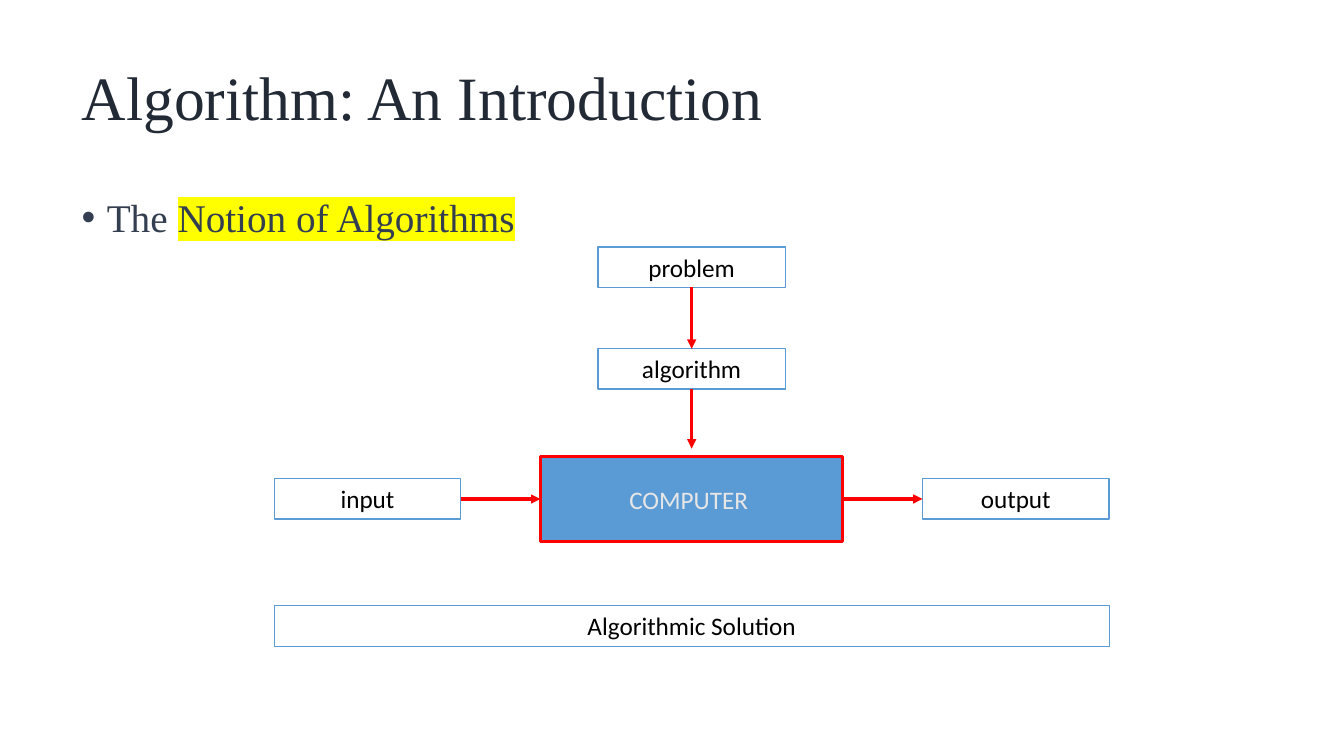
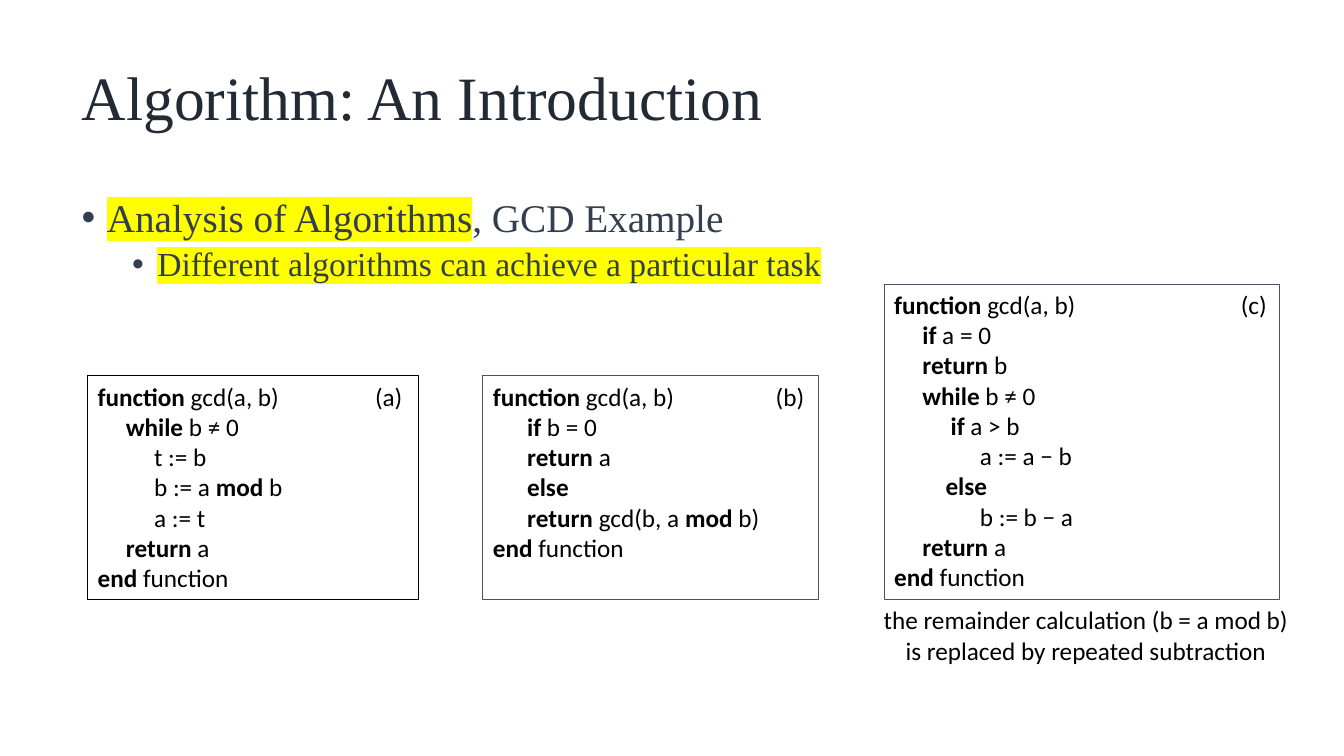
"""Build two slides that introduce algorithms."""
from dataclasses import dataclass
from typing import Any, NamedTuple, Optional

from lxml import etree
from pptx import Presentation
from pptx import util as u
from pptx.dml.color import RGBColor
from pptx.enum import shapes, text
from pptx.oxml import ns

PX = 9144
SLIDE_SIZE = (1333, 750)
TITLE = "Algorithm: An Introduction"


@dataclass(frozen=True)
class Theme:
    """Colours, fonts and type sizes of the deck."""

    title_ink: str = "222A35"
    body_ink: str = "333F50"
    black: str = "000000"
    pale: str = "E7E6E6"
    blue: str = "5B9BD5"
    slate: str = "44546A"
    red: str = "FF0000"
    marker: str = "FFFF00"
    serif: str = "Times New Roman"
    sans: str = "Calibri"
    title_size: int = 44
    body_sizes: tuple[int, int] = (28, 24)
    label_size: int = 18
    thin: float = 0.75
    medium: float = 1
    thick: float = 2.25


THEME = Theme()


class Area(NamedTuple):
    """A rectangle in px."""

    left: int
    top: int
    width: int
    height: int


class Style(NamedTuple):
    """The look of a span of text."""

    name: str
    size: int
    ink: str


class Line(NamedTuple):
    """A line of code, with its indent in px and bold words between asterisks."""

    indent: int
    words: str


class Bullet(NamedTuple):
    """A list entry, with highlighted words between asterisks."""

    level: int
    words: str


@dataclass(frozen=True)
class Node:
    """A labelled rectangle of the diagram."""

    label: str
    area: Area
    outline: str = THEME.blue
    weight: float = THEME.medium
    fill: Optional[str] = None
    ink: str = THEME.black
    wrap: bool = True


@dataclass(frozen=True)
class Arrow:
    """An arrow between two sides; a free end gives its length downwards."""

    start: str
    start_side: int
    end: Optional[str] = None
    end_side: int = 0
    length: int = 0


@dataclass(frozen=True)
class Listing:
    """A framed piece of code with a tag in its corner."""

    tag: str
    tag_left: int
    area: Area
    outline: str
    lines: tuple[Line, ...]


TITLE_AREA = Area(71, 35, 1150, 129)
BODY_AREA = Area(71, 192, 1150, 476)
LABEL = Style(THEME.sans, THEME.label_size, THEME.black)

NODES = (
    Node("COMPUTER ", Area(536, 453, 300, 84), THEME.red, THEME.thick,
         THEME.blue, THEME.pale, False),
    Node("problem", Area(593, 245, 186, 40)),
    Node("algorithm", Area(593, 346, 186, 40)),
    Node("input", Area(272, 475, 185, 40)),
    Node("output", Area(915, 475, 185, 40)),
    Node("Algorithmic Solution", Area(272, 601, 828, 40), weight=THEME.thin),
)
ARROWS = (
    Arrow("problem", 2, "algorithm", 0),
    Arrow("algorithm", 2, length=59),
    Arrow("input", 3, "COMPUTER ", 1),
    Arrow("COMPUTER ", 3, "output", 1),
)
LISTINGS = (
    Listing("(a)", 359, Area(87, 373, 328, 222), THEME.black, (
        Line(0, "*function* gcd(a, b)"),
        Line(28, "*while* b ≠ 0"),
        Line(56, "t := b"),
        Line(56, "b := a *mod* b"),
        Line(56, "a := t"),
        Line(28, "*return* a"),
        Line(0, "*end* function"),
    )),
    Listing("(b)", 757, Area(479, 373, 333, 222), THEME.slate, (
        Line(0, "*function* gcd(a, b)"),
        Line(34, "*if* b = 0"),
        Line(34, "*return* a"),
        Line(34, "*else*"),
        Line(34, "*return* gcd(b, a *mod* b)"),
        Line(0, "*end* function"),
    )),
    Listing("(c)", 1217, Area(877, 282, 392, 313), THEME.slate, (
        Line(0, "*function* gcd(a, b)"),
        Line(28, "*if* a = 0"),
        Line(28, "*return* b"),
        Line(28, "*while* b ≠ 0"),
        Line(56, "*if* a > b"),
        Line(85, "a := a − b"),
        Line(51, "*else*"),
        Line(85, "b := b − a"),
        Line(28, "*return* a"),
        Line(0, "*end* function"),
    )),
)
CAPTION = "the remainder calculation (b = a mod b) is replaced by repeated subtraction"


def apply(target: Any, values: dict[str, Any]) -> None:
    """Set each named attribute of the target."""
    for name, value in values.items():
        setattr(target, name, value)


def emu(area: Area) -> list[int]:
    """Turn px lengths into EMU."""
    return [length * PX for length in area]


def add_child(parent: Any, tag: str, **values: str) -> Any:
    """Append a drawing element with the given attributes."""
    return etree.SubElement(parent, ns.qn(tag), values)


def write(para: Any, words: str, style: Style, highlight: bool = False) -> None:
    """Write spans, with those between asterisks bold or highlighted."""
    for index, part in enumerate(words.split("*")):
        if not part:
            continue
        marked = index % 2 == 1
        span = para.add_run()
        span.text = part
        apply(span.font, {"name": style.name, "size": u.Pt(style.size),
                          "bold": marked and not highlight})
        span.font.color.rgb = RGBColor.from_string(style.ink)
        if marked and highlight:
            marker = etree.Element(ns.qn("a:highlight"))
            add_child(marker, "a:srgbClr", val=THEME.marker)
            span.font.fill._xPr.find(ns.qn("a:solidFill")).addnext(marker)


def start_page(deck: Any, bullets: list[Bullet]) -> Any:
    """Add a page with the shared title and a bulleted list."""
    page = deck.slides.add_slide(deck.slide_layouts[1])
    title, body = page.shapes.title, page.placeholders[1]
    for holder, area, anchor in ((title, TITLE_AREA, text.MSO_ANCHOR.MIDDLE),
                                 (body, BODY_AREA, text.MSO_ANCHOR.TOP)):
        apply(holder, dict(zip(("left", "top", "width", "height"), emu(area))))
        apply(holder.text_frame, {"auto_size": text.MSO_AUTO_SIZE.NONE,
                                  "vertical_anchor": anchor, "word_wrap": True})
    heading = title.text_frame.paragraphs[0]
    apply(heading, {"alignment": text.PP_ALIGN.LEFT, "line_spacing": 0.9})
    write(heading, TITLE, Style(THEME.serif, THEME.title_size, THEME.title_ink))
    for index, bullet in enumerate(bullets):
        frame = body.text_frame
        para = frame.add_paragraph() if index else frame.paragraphs[0]
        apply(para, {"level": bullet.level, "line_spacing": 0.9,
                     "space_before": u.Pt(5 if bullet.level else 10)})
        props = para._p.get_or_add_pPr()
        props.set("marL", str((25 + 50 * bullet.level) * PX))
        props.set("indent", str(-25 * PX))
        add_child(props, "a:buFont", typeface="Arial")
        add_child(props, "a:buChar", char="•")
        write(para, bullet.words, Style(
            THEME.serif, THEME.body_sizes[bullet.level], THEME.body_ink), True)
    return page


def add_box(page: Any, area: Area, outline: str, weight: float,
            fill: Optional[str] = None) -> Any:
    """Draw an outlined rectangle."""
    box = page.shapes.add_shape(shapes.MSO_SHAPE.RECTANGLE, *emu(area))
    box.shadow.inherit = False
    box.line.color.rgb = RGBColor.from_string(outline)
    box.line.width = u.Pt(weight)
    if fill:
        box.fill.solid()
        box.fill.fore_color.rgb = RGBColor.from_string(fill)
    else:
        box.fill.background()
    return box


def add_node(page: Any, node: Node) -> Any:
    """Draw a labelled rectangle."""
    box = add_box(page, node.area, node.outline, node.weight, node.fill)
    anchor = text.MSO_ANCHOR.MIDDLE if node.fill else text.MSO_ANCHOR.TOP
    apply(box.text_frame, {"word_wrap": node.wrap, "vertical_anchor": anchor})
    para = box.text_frame.paragraphs[0]
    para.alignment = text.PP_ALIGN.CENTER
    write(para, node.label, LABEL._replace(ink=node.ink))
    return box


def add_arrow(page: Any, arrow: Arrow, boxes: dict[str, Any]) -> None:
    """Draw an arrow joined to its boxes."""
    line = page.shapes.add_connector(shapes.MSO_CONNECTOR.STRAIGHT, 0, 0, 0, 0)
    line.begin_connect(boxes[arrow.start], arrow.start_side)
    if arrow.end:
        line.end_connect(boxes[arrow.end], arrow.end_side)
    else:
        apply(line, {"end_x": line.begin_x, "end_y": line.begin_y + arrow.length * PX})
    line.line.color.rgb = RGBColor.from_string(THEME.red)
    line.line.width = u.Pt(THEME.thick)
    add_child(line.line._get_or_add_ln(), "a:tailEnd", type="triangle")
    add_child(line._element.spPr, "a:effectLst")


def add_label(page: Any, words: str, area: Area) -> None:
    """Write centred text without a frame."""
    box = page.shapes.add_textbox(*emu(area))
    box.text_frame.word_wrap = True
    para = box.text_frame.paragraphs[0]
    para.alignment = text.PP_ALIGN.CENTER
    write(para, words, LABEL)


def add_listing(page: Any, listing: Listing) -> None:
    """Draw a framed piece of code and its tag."""
    frame = add_box(page, listing.area, listing.outline, THEME.thin).text_frame
    apply(frame, {"word_wrap": True, "vertical_anchor": text.MSO_ANCHOR.TOP})
    for index, line in enumerate(listing.lines):
        para = frame.add_paragraph() if index else frame.paragraphs[0]
        para.alignment = text.PP_ALIGN.LEFT
        para._p.get_or_add_pPr().set("marL", str(line.indent * PX))
        write(para, line.words, LABEL)
    add_label(page, listing.tag, Area(listing.tag_left, listing.area.top, 53, 40))


def main() -> None:
    """Build and save the deck."""
    deck = Presentation()
    deck.slide_width, deck.slide_height = (side * PX for side in SLIDE_SIZE)
    page = start_page(deck, [Bullet(0, "The *Notion of Algorithms*")])
    boxes = {node.label: add_node(page, node) for node in NODES}
    for arrow in ARROWS:
        add_arrow(page, arrow, boxes)
    page = start_page(deck, [
        Bullet(0, "*Analysis of Algorithms*, GCD Example"),
        Bullet(1, "*Different algorithms can achieve a particular task*")])
    for listing in LISTINGS:
        add_listing(page, listing)
    add_label(page, CAPTION, Area(865, 595, 424, 71))
    deck.save("out.pptx")


if __name__ == "__main__":
    main()
